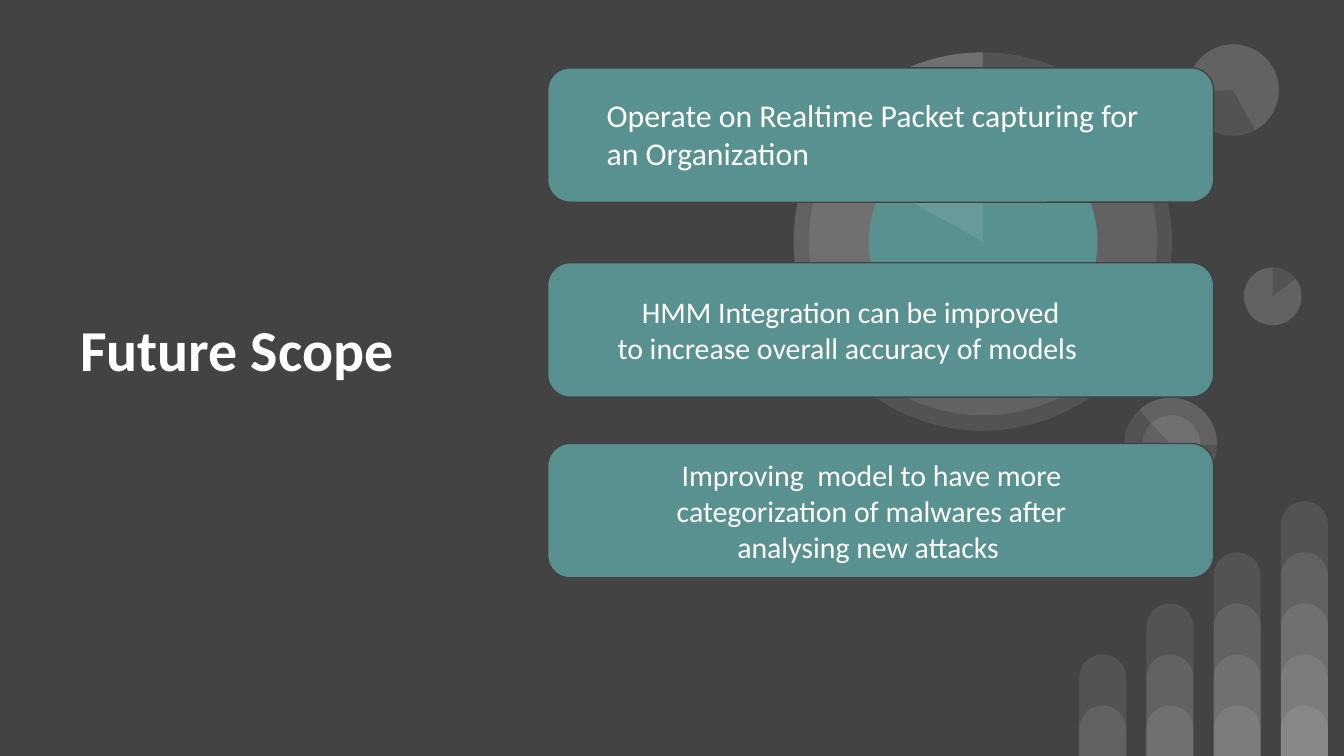
from dataclasses import dataclass

from pptx import Presentation
from pptx.dml.color import RGBColor
from pptx.enum.shapes import MSO_SHAPE as Shape
from pptx.enum.text import MSO_ANCHOR as Anchor, MSO_AUTO_SIZE as AutoSize, PP_ALIGN as Align
from pptx.oxml.ns import qn
from pptx.oxml.xmlchemy import OxmlElement
from pptx.util import Emu, Pt

EMU_PER_PX = 4572  # 200 px to the inch
SLIDE_WIDTH, SLIDE_HEIGHT = 2000, 1125
INSET = 20


@dataclass(frozen=True)
class Theme:
    background: str = "434343"
    accent: str = "599191"
    card_line: str = "424242"
    light: str = "FFFFFF"
    veil_percent: int = 9
    font: str = "Calibri"
    title_size: int = 31
    lead_size: int = 17
    body_size: int = 16


THEME = Theme()

# Discs: left, top, diameter, rotation, style
# The style is a fill, the start and end of a pie in degrees, or None for a veil.
DISCS = [
    (1851, 398, 86, 0, None),
    (1673, 592, 138, 90, None),
    (1673, 592, 138, 90, (137.41, 270.77)),
    (1700, 618, 86, 90, None),
    (1851, 398, 86, 0, (322.95, 270)),
    (1767, 66, 136, 215.9, None),
    (1767, 66, 136, 215.9, (322.95, 205.23)),
    (1181, 78, 563, 0, None),
    (1204, 100, 518, 34.1, None),
    (1181, 78, 563, 0, (146.69, 270)),
    (1293, 190, 340, 34.1, THEME.accent),
    (1181, 78, 563, 0, (209.24, 270)),
]

# Cards: top, text box, lines, size, alignment
CARDS = [
    (101, (883, 122, 856, 154), ["Operate on Realtime Packet capturing for an Organization"],
     THEME.lead_size, Align.LEFT),
    (391, (840, 417, 842, 148), [" HMM Integration can be improved",
                                 "to increase overall accuracy of models"],
     THEME.body_size, Align.CENTER),
    (660, (912, 660, 770, 202), ["Improving  model to have more categorization of malwares "
                                 "after analysing new attacks "],
     THEME.body_size, Align.CENTER),
]


def px(length):
    return Emu(length * EMU_PER_PX)


def color(value):
    return RGBColor.from_string(value)


def add_filled(slide, kind, box, fill=None, line=None, rotation=0, adjustments=()):
    """Add a preset shape; without a fill it is a translucent veil."""
    shape = slide.shapes.add_shape(kind, *map(px, box))
    shape.shadow.inherit = False
    shape.rotation = rotation
    for index, value in enumerate(adjustments):
        shape.adjustments[index] = value
    shape.fill.solid()
    shape.fill.fore_color.rgb = color(fill or THEME.light)
    if fill is None:
        alpha = OxmlElement("a:alpha")
        alpha.set("val", str(THEME.veil_percent * 1000))
        shape._element.spPr.find(".//" + qn("a:srgbClr")).append(alpha)
    if line:
        shape.line.color.rgb = color(line)
        shape.line.width = Pt(0.75)
    else:
        shape.line.fill.background()
    return shape


def write_text(shape, lines, size, bold=False, align=Align.LEFT, anchor=Anchor.TOP,
               auto_size=AutoSize.NONE):
    frame = shape.text_frame
    frame.text = "\n".join(lines)
    frame.word_wrap = True
    frame.auto_size = auto_size
    frame.vertical_anchor = anchor
    frame.margin_left = frame.margin_right = px(INSET)
    frame.margin_top = frame.margin_bottom = px(INSET)
    for paragraph in frame.paragraphs:
        paragraph.alignment = align
        font = paragraph.runs[0].font
        font.name, font.size, font.bold = THEME.font, Pt(size), bold
        font.color.rgb = color(THEME.light)


def add_title(slide, text):
    title = slide.shapes.title
    title.left, title.top, title.width, title.height = map(px, (80, 418, 552, 200))
    write_text(title, [text], THEME.title_size, bold=True, anchor=Anchor.MIDDLE)


def add_bars(slide):
    """Each column stacks one more overlapping bar than the column before."""
    for column in range(4):
        for level in reversed(range(column + 2)):
            height = 75 + 76 * level
            box = (1606 + 100 * column, SLIDE_HEIGHT - height, 70, height)
            add_filled(slide, Shape.ROUND_2_SAME_RECTANGLE, box, adjustments=(0.5, 0))


def add_discs(slide):
    for left, top, diameter, rotation, style in DISCS:
        box = (left, top, diameter, diameter)
        if isinstance(style, tuple):
            # Pie angles are stored in 60000ths of a degree, adjustments in 100000ths
            angles = [degrees * 0.6 for degrees in style]
            add_filled(slide, Shape.PIE, box, rotation=rotation, adjustments=angles)
        else:
            add_filled(slide, Shape.OVAL, box, fill=style, rotation=rotation)


def add_card(slide, top, text_box, lines, size, align):
    add_filled(slide, Shape.ROUNDED_RECTANGLE, (815, top, 991, 200), fill=THEME.accent,
               line=THEME.card_line, adjustments=(0.167,))
    label = slide.shapes.add_textbox(*map(px, text_box))
    write_text(label, lines, size, align=align, auto_size=AutoSize.SHAPE_TO_FIT_TEXT)


def main():
    presentation = Presentation()
    presentation.slide_width, presentation.slide_height = px(SLIDE_WIDTH), px(SLIDE_HEIGHT)
    slide = presentation.slides.add_slide(presentation.slide_layouts.get_by_name("Title Only"))
    slide.background.fill.solid()
    slide.background.fill.fore_color.rgb = color(THEME.background)

    # Decoration
    add_bars(slide)
    add_discs(slide)

    # Content
    add_title(slide, " Future Scope")
    for card in CARDS:
        add_card(slide, *card)

    presentation.save("out.pptx")


if __name__ == "__main__":
    main()
